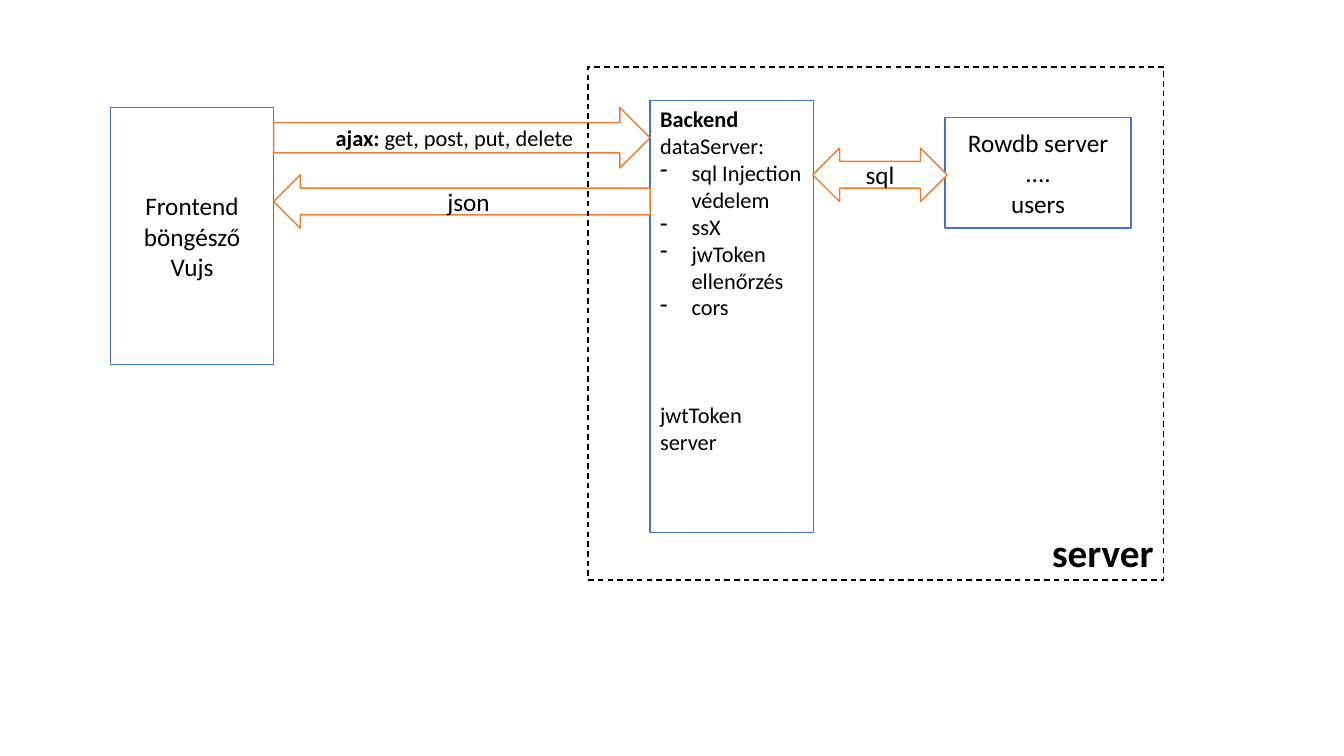
from pptx import Presentation
from pptx.dml.color import RGBColor
from pptx.enum.dml import MSO_LINE_DASH_STYLE as Dash
from pptx.enum.shapes import MSO_SHAPE as Shape
from pptx.enum.text import MSO_ANCHOR as Anchor, PP_ALIGN as Align
from pptx.oxml.xmlchemy import OxmlElement
from pptx.util import Pt

BLUE, ORANGE, BLACK, WHITE = "4472C4", "ED7D31", "000000", "FFFFFF"


def color(value):
    return RGBColor.from_string(value)


def apply_format(target, values):
    for name, value in values.items():
        setattr(target, name, value)


def add_box(slide, kind, bounds, line, fill=WHITE, anchor=Anchor.MIDDLE):
    shape = slide.shapes.add_shape(kind, *[Pt(length) for length in bounds])
    shape.shadow.inherit = False
    if fill:
        shape.fill.solid()
        shape.fill.fore_color.rgb = color(fill)
    else:
        shape.fill.background()
    shape.line.color.rgb = color(line)
    shape.line.width = Pt(1)
    apply_format(shape.text_frame, {"word_wrap": True, "vertical_anchor": anchor})
    return shape


def add_dash_bullet(paragraph):
    properties = paragraph._p.get_or_add_pPr()
    properties.set("marL", str(Pt(22.5)))
    properties.set("indent", str(Pt(-22.5)))
    bullet = OxmlElement("a:buChar")
    bullet.set("char", "-")
    properties.append(bullet)


def write_lines(shape, lines, size=18, align=Align.CENTER):
    frame = shape.text_frame
    for index, runs in enumerate(lines):
        paragraph = frame.add_paragraph() if index else frame.paragraphs[0]
        paragraph.alignment = align
        for text, bold in runs:
            run = paragraph.add_run()
            run.text = text
            apply_format(run.font, {"name": "Calibri", "size": Pt(size), "bold": bold})
            run.font.color.rgb = color(BLACK)
    return frame.paragraphs


def plain(*texts):
    return [[(text, False)] for text in texts]


def add_backend(slide):
    backend = add_box(slide, Shape.RECTANGLE, (464.4, 71.8, 116.6, 308.8), BLUE, anchor=Anchor.TOP)
    checks = plain("sql Injection védelem", "ssX", "jwToken ellenőrzés", "cors")
    lines = [[("Backend", True)], *plain("dataServer:"), *checks, *plain("jwtToken server")]
    paragraphs = write_lines(backend, lines, 16, Align.LEFT)
    for paragraph in paragraphs[2:-1]:
        add_dash_bullet(paragraph)
    paragraphs[-1].space_before = Pt(58)


def add_server_frame(slide):
    frame = add_box(slide, Shape.RECTANGLE, (420, 47.8, 411, 366.5), BLACK, None, Anchor.BOTTOM)
    frame.line.dash_style = Dash.DASH
    write_lines(frame, [[("server", True)]], 28, Align.RIGHT)


def main():
    presentation = Presentation()
    apply_format(presentation, {"slide_width": Pt(960), "slide_height": Pt(540)})
    slide = presentation.slides.add_slide(presentation.slide_layouts[6])

    add_backend(slide)
    frontend = add_box(slide, Shape.RECTANGLE, (78.9, 76.8, 116.6, 183.8), BLUE)
    write_lines(frontend, plain("Frontend", "böngésző", "Vujs"))
    request = add_box(slide, Shape.RIGHT_ARROW, (195.5, 76.8, 268.9, 43.2), ORANGE)
    write_lines(request, [[("ajax: ", True), ("get, post, put, delete", False)]], 16)
    response = add_box(slide, Shape.LEFT_ARROW, (195.5, 124.8, 268.9, 38.2), ORANGE)
    write_lines(response, plain("json"))
    database = add_box(slide, Shape.RECTANGLE, (675, 83.8, 133, 79.2), BLUE)
    write_lines(database, plain("Rowdb server", "....", "users"))
    query = add_box(slide, Shape.LEFT_RIGHT_ARROW, (580.6, 105.8, 96, 38.2), ORANGE)
    write_lines(query, plain("sql"))
    add_server_frame(slide)

    presentation.save("out.pptx")


main()
